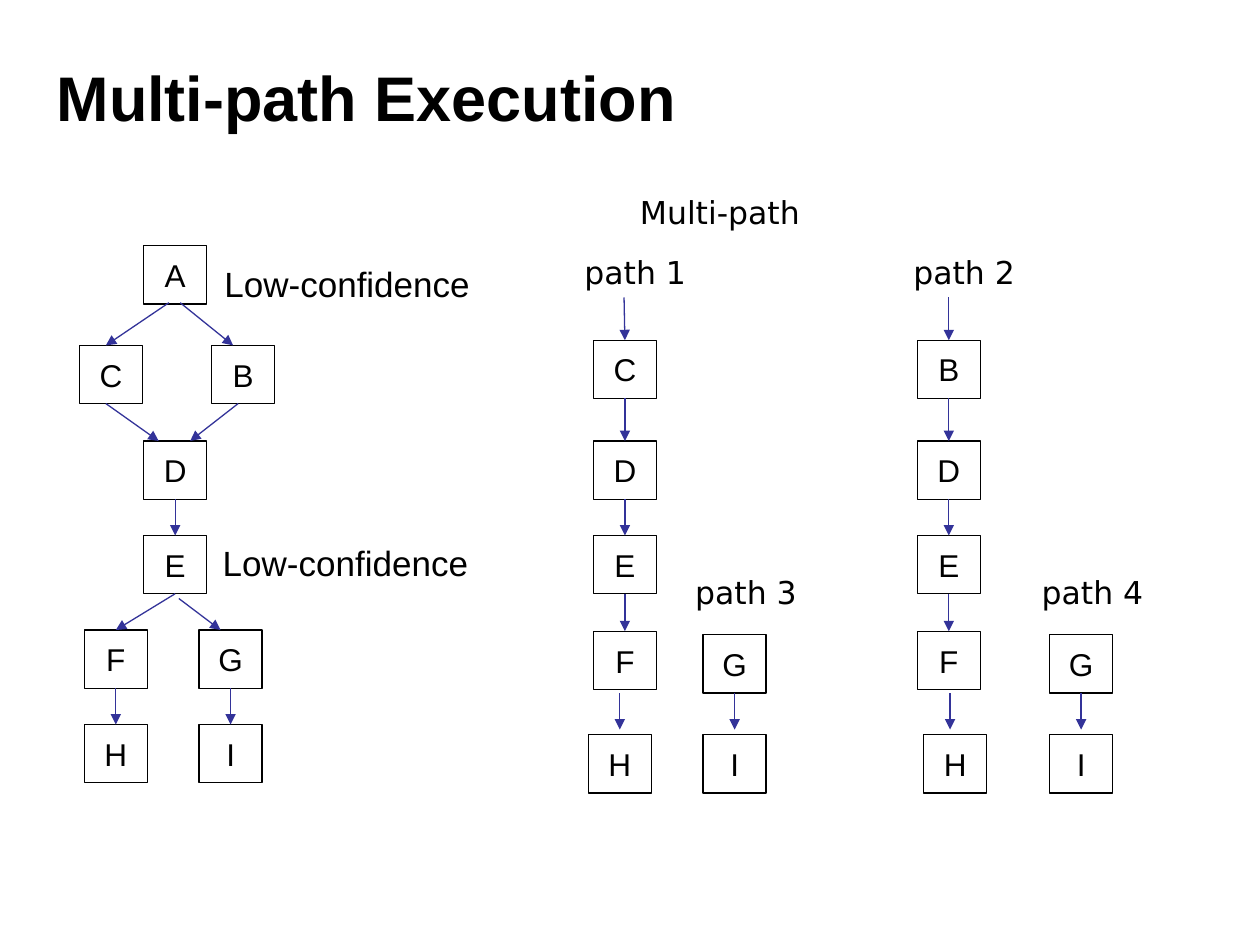
from lxml import etree
from pptx import Presentation
from pptx.dml.color import RGBColor
from pptx.enum.shapes import MSO_CONNECTOR, MSO_SHAPE
from pptx.enum.text import MSO_ANCHOR, MSO_AUTO_SIZE, PP_ALIGN
from pptx.oxml.ns import qn
from pptx.util import Pt

LEFT, CENTER = PP_ALIGN.LEFT, PP_ALIGN.CENTER
TOP, MIDDLE = MSO_ANCHOR.TOP, MSO_ANCHOR.MIDDLE
GROW = MSO_AUTO_SIZE.SHAPE_TO_FIT_TEXT
FIXED = MSO_AUTO_SIZE.NONE
STRAIGHT, RECTANGLE = MSO_CONNECTOR.STRAIGHT, MSO_SHAPE.RECTANGLE
BOTTOM_SITE, TOP_SITE = 2, 0
BLACK, ARROW_BLUE = "000000", "333399"
BOX_WIDTH, BOX_HEIGHT = 36, 33.3

TITLE = {"size": Pt(36), "name": "Arial", "bold": True}
NOTE = {"size": Pt(20), "name": "Arial"}
BLOCK = {"size": Pt(18), "name": "Arial"}
PATH = {"size": Pt(18), "name": "DejaVu Sans"}


def write(shape, text, font, align, **frame_format):
    """Put one formatted paragraph in the shape and return it."""
    frame = shape.text_frame
    for key, value in frame_format.items():
        setattr(frame, key, value)
    paragraph = frame.paragraphs[0]
    paragraph.alignment = align
    run = paragraph.add_run()
    run.text = text
    for key, value in font.items():
        setattr(run.font, key, value)
    run.font.color.rgb = RGBColor.from_string(BLACK)
    return paragraph


def add_arrow(start, end):
    """Draw an arrow; each end is a point, or a block to be joined to."""
    start_point = start if isinstance(start, tuple) else (0, 0)
    end_point = end if isinstance(end, tuple) else (0, 0)
    arrow = slide.shapes.add_connector(
        STRAIGHT, *[Pt(value) for value in start_point + end_point])
    if not isinstance(start, tuple):
        arrow.begin_connect(start, BOTTOM_SITE)
    if not isinstance(end, tuple):
        arrow.end_connect(end, TOP_SITE)
    arrow.line.width = Pt(0.75)
    arrow.line.color.rgb = RGBColor.from_string(ARROW_BLUE)
    etree.SubElement(arrow.line._get_or_add_ln(), qn("a:tailEnd"), type="triangle")
    etree.SubElement(arrow._element.spPr, qn("a:effectLst"))


deck = Presentation()
deck.slide_width, deck.slide_height = Pt(720), Pt(540)
slide = deck.slides.add_slide(deck.slide_layouts[1])

# Title and the two branch notes
title = slide.shapes.title
title.left, title.top, title.width, title.height = Pt(25.2), Pt(25.2), Pt(648), Pt(59.8)
write(title, "Multi-path Execution", TITLE, LEFT,
      vertical_anchor=MIDDLE, word_wrap=True, auto_size=FIXED)

first_note = slide.placeholders[1]
second_note = slide.shapes.add_textbox(0, 0, 0, 0)
for note, left, top in [(first_note, 121, 146.2), (second_note, 120.2, 306)]:
    note.left, note.top, note.width, note.height = Pt(left), Pt(top), Pt(203), Pt(35.3)
    paragraph = write(note, "Low-confidence", NOTE, LEFT,
                      vertical_anchor=TOP, word_wrap=True, auto_size=FIXED)
    paragraph.space_before = Pt(4)
    properties = paragraph._p.get_or_add_pPr()
    properties.set("marL", str(Pt(45)))
    properties.set("indent", str(-Pt(45)))
    etree.SubElement(properties, qn("a:buNone"))

# Blocks of the control-flow tree and of each path: letter, left, top
block_places = {
    "tree": [("A", 82.1, 140.4), ("B", 121, 197.4), ("C", 45.4, 197.4),
             ("D", 82.1, 252), ("E", 82.1, 306), ("F", 48.2, 360),
             ("G", 113.8, 360), ("H", 48.2, 414), ("I", 113.8, 414)],
    "path 1": [("C", 339.1, 194.4), ("D", 339.1, 252), ("E", 339.1, 306),
               ("F", 339.1, 360.7), ("H", 336.2, 419.9)],
    "path 2": [("B", 524.2, 194.4), ("D", 524.2, 252), ("E", 524.2, 306),
               ("F", 524.2, 360.7), ("H", 527.8, 419.9)],
    "path 3": [("G", 401.8, 362.7), ("I", 401.8, 419.9)],
    "path 4": [("G", 599.8, 362.7), ("I", 599.8, 419.9)],
}
blocks = {}
for group, places in block_places.items():
    for letter, left, top in places:
        block = slide.shapes.add_shape(
            RECTANGLE, Pt(left), Pt(top), Pt(BOX_WIDTH), Pt(BOX_HEIGHT))
        block.shadow.inherit = False
        block.fill.background()
        block.line.width = Pt(0.75)
        block.line.color.rgb = RGBColor.from_string(BLACK)
        write(block, letter, BLOCK, CENTER, vertical_anchor=MIDDLE, word_wrap=False)
        blocks[group, letter] = block

# Arrows between blocks
joined_letters = {"tree": ["DE", "EF", "FH", "GI"],
                  "path 1": ["CD", "DE", "EF"],
                  "path 2": ["BD", "DE", "EF"]}
for group, pairs in joined_letters.items():
    for upper, lower in pairs:
        add_arrow(blocks[group, upper], blocks[group, lower])

# Branching arrows that meet the blocks off their middles
for start, end in [((96.5, 173), (60.5, 197.4)), ((103, 173), (133.2, 197.4)),
                   ((60.5, 230.6), (90.7, 252)), ((136.1, 230.6), (108.7, 252)),
                   ((102.2, 342), (126, 360))]:
    add_arrow(start, end)

# Arrows into the paths and to their last blocks
add_arrow((356.6, 170), blocks["path 1", "C"])
add_arrow((542.2, 170), blocks["path 2", "B"])
for start, center in [((354.2, 396), 354.2), ((542.9, 396), 542.9),
                      (blocks["path 3", "G"], 419.8), (blocks["path 4", "G"], 617.8)]:
    add_arrow(start, (center, 416.9))

# Path headings
for heading, left, top, width in [("Multi-path", 358.6, 106.6, 108),
                                  ("path 1", 326.9, 141.1, 78),
                                  ("path 2", 514.8, 141.1, 79),
                                  ("path 3", 390.2, 324, 78),
                                  ("path 4", 588.2, 324, 78)]:
    label = slide.shapes.add_textbox(Pt(left), Pt(top), Pt(width), Pt(28.8))
    write(label, heading, PATH, LEFT, word_wrap=False, auto_size=GROW)

deck.save("out.pptx")
